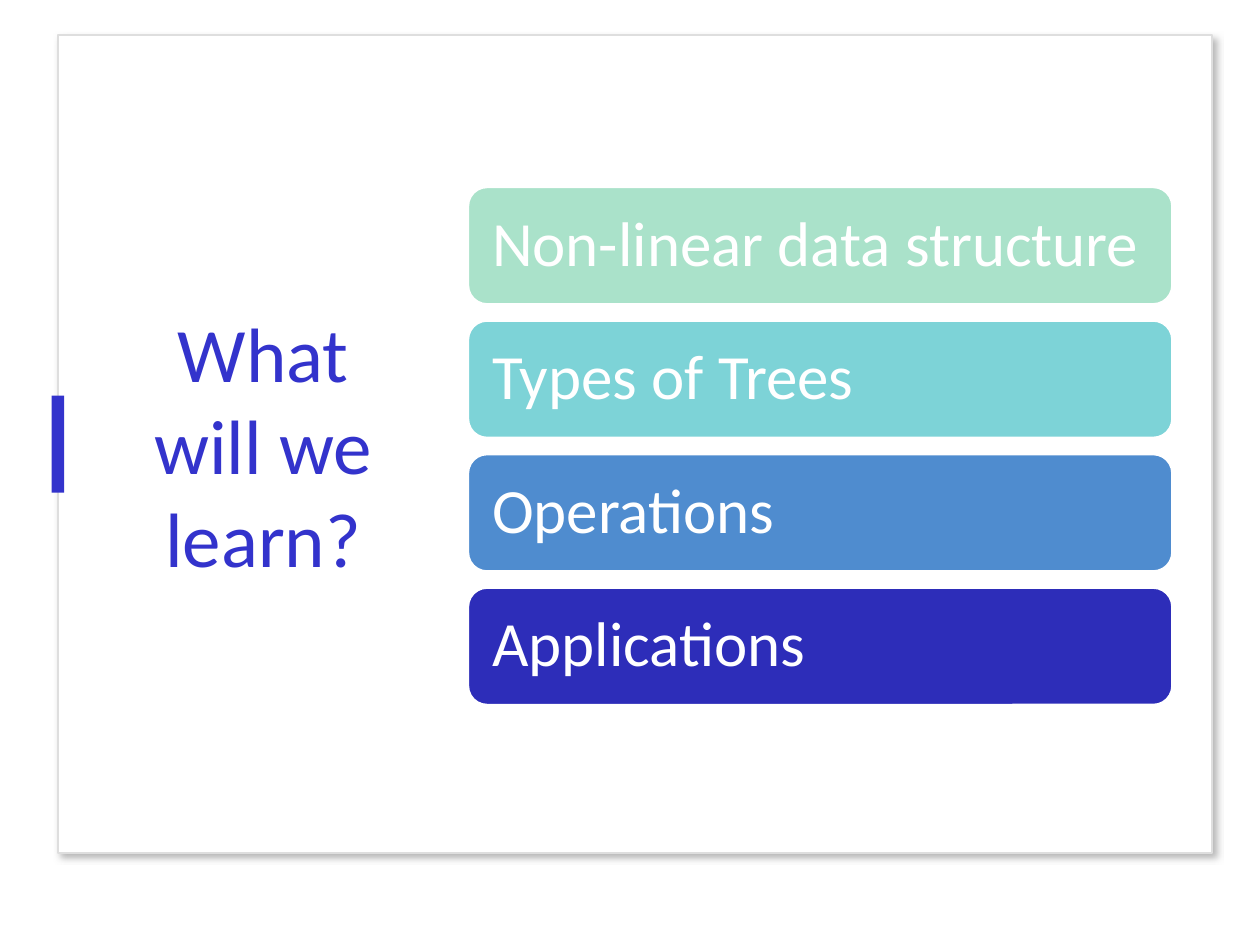
import pptx
import pptx.dml.color
import pptx.enum.shapes
import pptx.enum.text
import pptx.oxml
import pptx.util

FONT = "Calibri"
ACCENT = "3333CC"
WHITE = "FFFFFF"
TOPICS = [
    ("Non-linear data structure", "AAE2CA"),
    ("Types of Trees", "7DD3D7"),
    ("Operations", "4F8CCF"),
    ("Applications", "2D2DB9"),
]
CARD_LEFT, CARD_TOP, CARD_WIDTH, CARD_HEIGHT = 3.71, 1.48, 5.6, 0.94
CARD_PITCH = 1.06

SHADOW = (
    '<a:effectLst xmlns:a="http://schemas.openxmlformats.org/drawingml/2006/main">'
    '<a:outerShdw blurRad="50800" dist="38100" dir="2700000" algn="tl" rotWithShape="0">'
    '<a:srgbClr val="6D6D6D"><a:alpha val="50000"/></a:srgbClr>'
    "</a:outerShdw></a:effectLst>"
)


def color(hex_value):
    return pptx.dml.color.RGBColor.from_string(hex_value)


def add_box(slide, kind, box, fill, line=None, line_width=1):
    shape = slide.shapes.add_shape(kind, *map(pptx.util.Inches, box))
    shape.shadow.inherit = False
    shape.fill.solid()
    shape.fill.fore_color.rgb = color(fill)
    if line:
        shape.line.color.rgb = color(line)
        shape.line.width = pptx.util.Pt(line_width)
    else:
        shape.line.fill.background()
    return shape


def set_text(shape, text, size, hex_value, alignment):
    frame = shape.text_frame
    frame.word_wrap = True
    frame.vertical_anchor = pptx.enum.text.MSO_ANCHOR.MIDDLE
    paragraph = frame.paragraphs[0]
    paragraph.text = text
    paragraph.alignment = alignment
    paragraph.font.name = FONT
    paragraph.font.size = pptx.util.Pt(size)
    paragraph.font.color.rgb = color(hex_value)
    return frame


def add_frame(slide):
    """Add the shadowed white panel behind the content."""
    rectangle = pptx.enum.shapes.MSO_SHAPE.RECTANGLE
    panel = add_box(slide, rectangle, (0.46, 0.28, 9.16, 6.49), WHITE, "DEDEDE")
    properties = panel.fill._xPr
    properties.remove(properties.find(pptx.oxml.ns.qn("a:effectLst")))
    properties.append(pptx.oxml.parse_xml(SHADOW))


def add_title(slide, text):
    box = (0.86, 0.55, 2.46, 5.95)
    title = slide.shapes.add_textbox(*map(pptx.util.Inches, box))
    set_text(title, text, 44, ACCENT, pptx.enum.text.PP_ALIGN.CENTER)


def add_topic(slide, row, text, fill):
    box = (CARD_LEFT, CARD_TOP + row * CARD_PITCH, CARD_WIDTH, CARD_HEIGHT)
    rounded = pptx.enum.shapes.MSO_SHAPE.ROUNDED_RECTANGLE
    card = add_box(slide, rounded, box, fill, WHITE, 2)
    frame = set_text(card, text, 36, WHITE, pptx.enum.text.PP_ALIGN.LEFT)
    frame.margin_left = frame.margin_right = pptx.util.Inches(0.15)
    frame.margin_top = frame.margin_bottom = pptx.util.Inches(0.15)
    frame.paragraphs[0].line_spacing = 0.9


def main():
    presentation = pptx.Presentation()
    presentation.slide_width = pptx.util.Inches(10)
    presentation.slide_height = pptx.util.Inches(7.5)
    slide = presentation.slides.add_slide(presentation.slide_layouts[6])
    add_frame(slide)
    add_title(slide, "What will we learn?")
    add_box(slide, pptx.enum.shapes.MSO_SHAPE.RECTANGLE, (0.41, 3.14, 0.1, 0.77), ACCENT)
    for row, (text, fill) in enumerate(TOPICS):
        add_topic(slide, row, text, fill)
    presentation.save("out.pptx")


if __name__ == "__main__":
    main()
